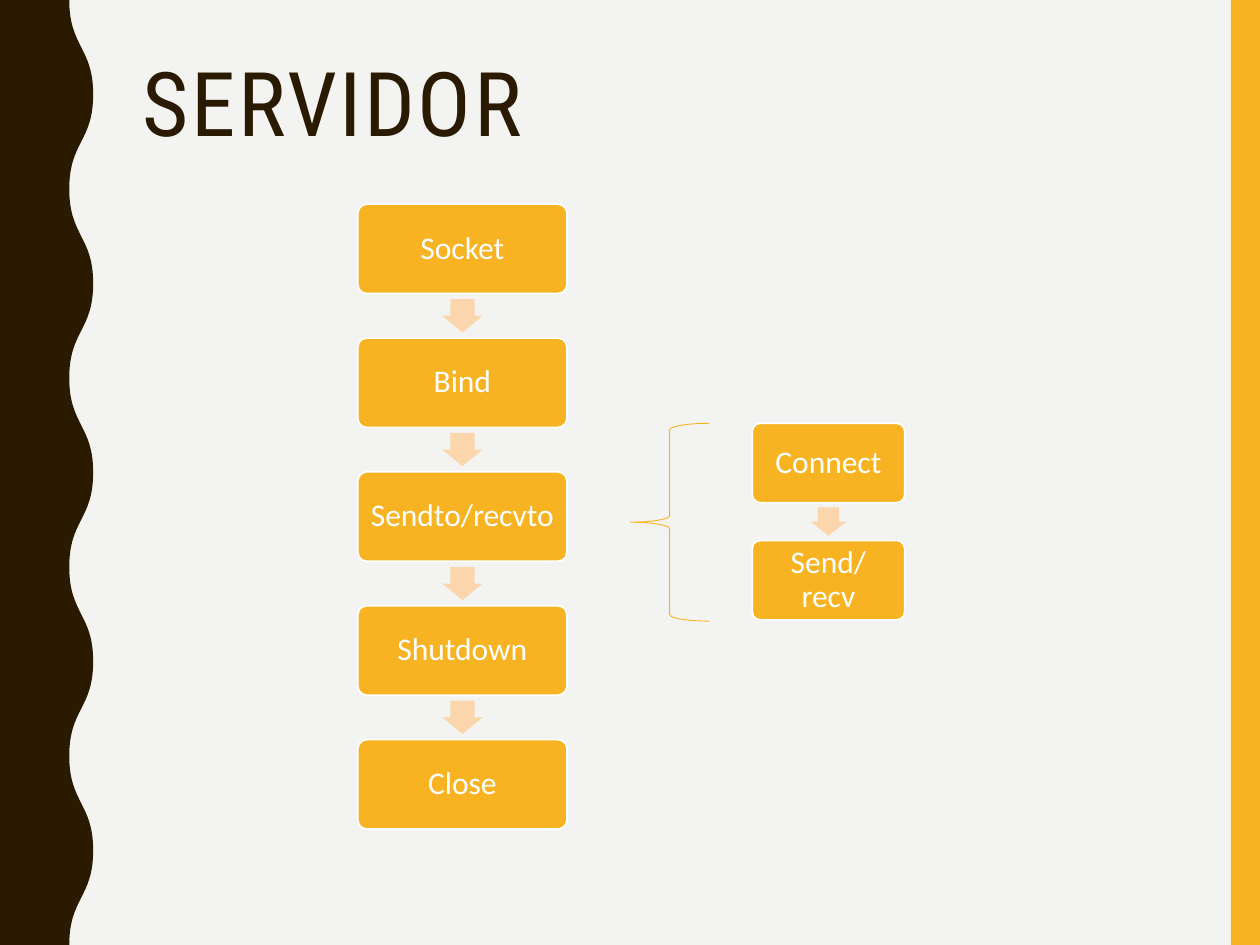
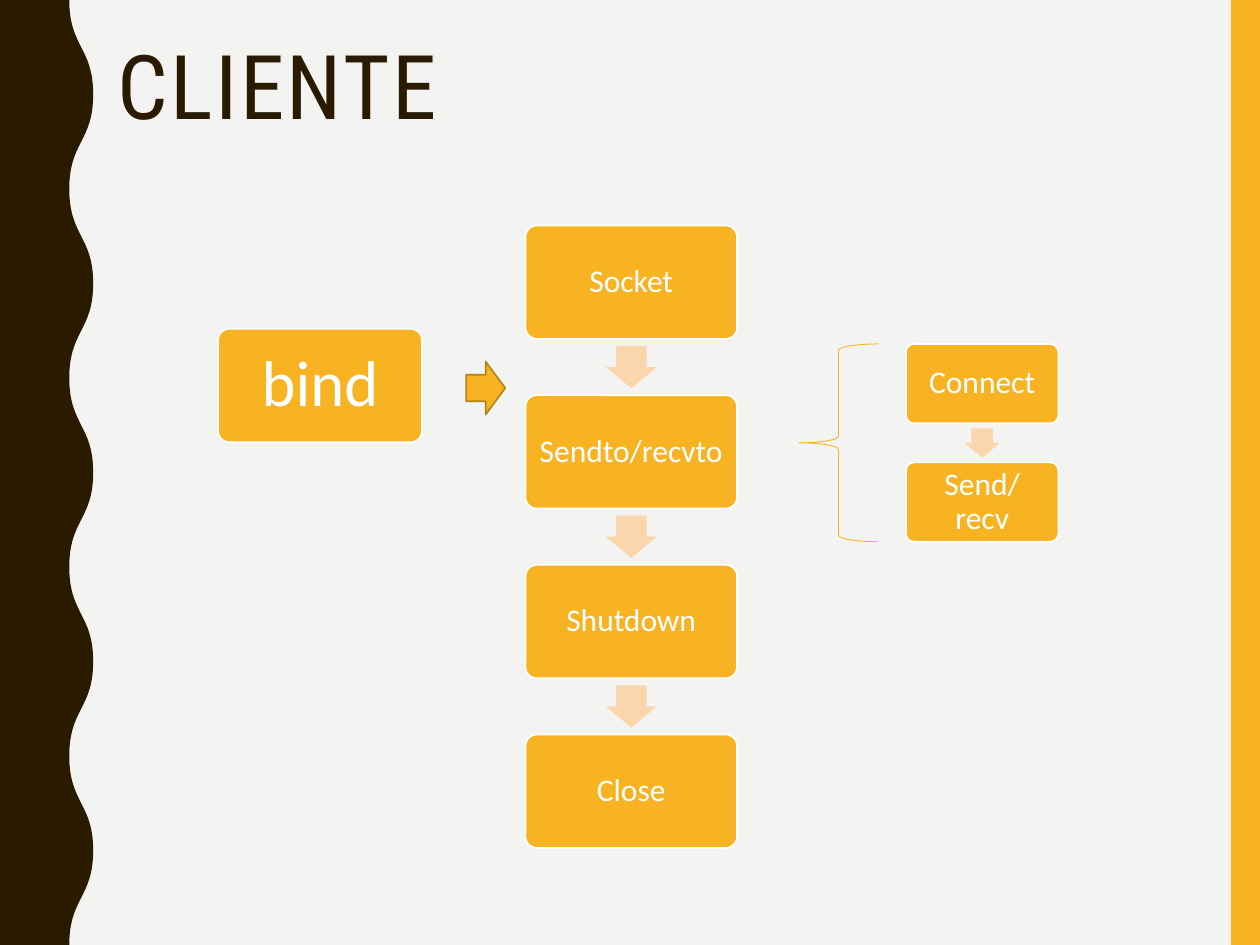
"""Build the server and client socket flow slides."""
from dataclasses import dataclass

from lxml import etree
from pptx import Presentation
from pptx.dml.color import RGBColor
from pptx.enum.shapes import MSO_SHAPE
from pptx.enum.text import MSO_ANCHOR, MSO_AUTO_SIZE, PP_ALIGN
from pptx.oxml.ns import qn
from pptx.util import Inches, Pt

RECTANGLE = MSO_SHAPE.RECTANGLE
ROUNDED = MSO_SHAPE.ROUNDED_RECTANGLE
RIGHT_ARROW = MSO_SHAPE.RIGHT_ARROW
LEFT_BRACE = MSO_SHAPE.LEFT_BRACE
TOP, MIDDLE = MSO_ANCHOR.TOP, MSO_ANCHOR.MIDDLE
LEFT, CENTER = PP_ALIGN.LEFT, PP_ALIGN.CENTER
NO_AUTOFIT = MSO_AUTO_SIZE.NONE

PAPER = RGBColor(0xF3, 0xF3, 0xF2)
BROWN = RGBColor(0x2A, 0x1A, 0x00)
AMBER = RGBColor(0xF8, 0xB3, 0x23)
DARK_AMBER = RGBColor(0xB7, 0x84, 0x1A)
PEACH = RGBColor(0xFB, 0xD6, 0xAC)
WHITE = RGBColor(0xFF, 0xFF, 0xFF)

SLIDE_WIDTH, SLIDE_HEIGHT = 10, 7.5
STRIPE_WIDTH = 0.23
WAVE_INNER, WAVE_OUTER = 0.55, 0.74
WAVE_STEPS = 10
TITLE_FONT = {"name": "Roboto Condensed", "size": Pt(51)}
BODY_FONT = "Calibri"


@dataclass(frozen=True)
class Box:
    """Position and size in inches."""

    left: float
    top: float
    width: float
    height: float

    def lengths(self) -> tuple:
        return tuple(Inches(value) for value in (self.left, self.top, self.width, self.height))


@dataclass(frozen=True)
class Flow:
    """A column of equal steps joined by arrows."""

    first: Box
    last_top: float
    steps: tuple[str, ...]
    size: int = 18
    inset: float = 0.07

    @property
    def pitch(self) -> float:
        return (self.last_top - self.first.top) / max(1, len(self.steps) - 1)


@dataclass(frozen=True)
class FlowSlide:
    """Everything that differs between the slides."""

    title: str
    title_box: Box
    flows: tuple[Flow, ...]
    brace: Box
    side_arrow: Box | None = None


def connected_flow(left: float, top: float, last_top: float) -> Flow:
    return Flow(Box(left, top, 1.21, 0.63), last_top, ("Connect", "Send/recv"), inset=0.08)


SLIDES = (
    FlowSlide(
        "SERVIDOR",
        Box(1.03, 0.42, 8.35, 1.63),
        (
            Flow(Box(2.84, 1.62, 1.66, 0.71), 5.87,
                 ("Socket", "Bind", "Sendto/recvto", "Shutdown", "Close")),
            connected_flow(5.97, 3.36, 4.29),
        ),
        Box(5, 3.36, 0.63, 1.57),
    ),
    FlowSlide(
        "CLIENTE",
        Box(0.83, 0.29, 8.61, 1.25),
        (
            Flow(Box(4.17, 1.79, 1.68, 0.9), 5.83,
                 ("Socket", "Sendto/recvto", "Shutdown", "Close")),
            connected_flow(7.19, 2.73, 3.67),
            Flow(Box(1.73, 2.61, 1.62, 0.9), 2.61, ("bind",), 37, 0.15),
        ),
        Box(6.34, 2.73, 0.63, 1.57),
        Box(3.7, 2.87, 0.31, 0.42),
    ),
)


def apply_format(target, values: dict) -> None:
    for name, value in values.items():
        setattr(target, name, value)


def paint(shape, fill: RGBColor | None, line: RGBColor | None = None, width: float = 1) -> None:
    shape.shadow.inherit = False
    if fill is None:
        shape.fill.background()
    else:
        shape.fill.solid()
        shape.fill.fore_color.rgb = fill
    if line is None:
        shape.line.fill.background()
    else:
        shape.line.color.rgb = line
        shape.line.width = Pt(width)


def bend_segment(segment, start: tuple[int, int]) -> tuple[int, int]:
    """Turn a line segment into an S-curve and return its end point."""
    end_point = segment[0]
    end = int(end_point.get("x")), int(end_point.get("y"))
    middle_y = (start[1] + end[1]) // 2
    segment.tag = qn("a:cubicBezTo")
    for index, x in enumerate((start[0], end[0])):
        control = etree.Element(qn("a:pt"), x=str(x), y=str(middle_y))
        segment.insert(index, control)
    return end


def draw_wave(slide):
    """Draw the left band, whose edge swings between two x positions."""
    edge = [
        (Inches(WAVE_OUTER if step % 2 else WAVE_INNER), Inches(SLIDE_HEIGHT * step / WAVE_STEPS))
        for step in range(WAVE_STEPS + 1)
    ]
    builder = slide.shapes.build_freeform(0, 0)
    builder.add_line_segments([*edge, (0, Inches(SLIDE_HEIGHT))], close=True)
    shape = builder.convert_to_shape()
    segments = list(shape.element.iter(qn("a:lnTo")))
    point = edge[0]
    for segment in segments[1:WAVE_STEPS + 1]:
        point = bend_segment(segment, point)
    paint(shape, BROWN)
    return shape


def decorate_layout(layout, slide) -> None:
    """Draw the shared bands on a slide and move them to its layout."""
    layout.background.fill.solid()
    layout.background.fill.fore_color.rgb = PAPER
    stripe_box = Box(SLIDE_WIDTH - STRIPE_WIDTH, 0, STRIPE_WIDTH, SLIDE_HEIGHT)
    stripe = slide.shapes.add_shape(RECTANGLE, *stripe_box.lengths())
    paint(stripe, AMBER)
    for shape in (stripe, draw_wave(slide)):
        layout.shapes.element.append(shape.element)


def set_title(slide, content: FlowSlide) -> None:
    title = slide.shapes.title
    apply_format(title, dict(zip(("left", "top", "width", "height"), content.title_box.lengths())))
    title.text = content.title
    apply_format(title.text_frame, {"vertical_anchor": TOP, "auto_size": NO_AUTOFIT})
    paragraph = title.text_frame.paragraphs[0]
    apply_format(paragraph, {"alignment": LEFT, "line_spacing": 0.9})
    font = paragraph.runs[0].font
    apply_format(font, TITLE_FONT)
    font.color.rgb = BROWN
    paragraph.runs[0]._r.get_or_add_rPr().set("spc", "150")


def draw_step(slide, box: Box, text: str, flow: Flow) -> None:
    shape = slide.shapes.add_shape(ROUNDED, *box.lengths())
    shape.adjustments[0] = 0.1
    paint(shape, AMBER, WHITE)
    frame = shape.text_frame
    frame.text = text
    apply_format(frame, {"word_wrap": True, "vertical_anchor": MIDDLE})
    for side in ("left", "top", "right", "bottom"):
        setattr(frame, f"margin_{side}", Inches(flow.inset))
    paragraph = frame.paragraphs[0]
    apply_format(paragraph, {"alignment": CENTER, "line_spacing": 0.9})
    font = paragraph.runs[0].font
    apply_format(font, {"name": BODY_FONT, "size": Pt(flow.size)})
    font.color.rgb = WHITE


def draw_down_arrow(slide, box: Box, gap: float) -> None:
    """Draw the arrow centred in the gap below a step."""
    length, span = 0.75 * gap, 0.45 * box.height
    center_x = box.left + box.width / 2
    center_y = box.top + box.height + gap / 2
    arrow_box = Box(center_x - length / 2, center_y - span / 2, length, span)
    arrow = slide.shapes.add_shape(RIGHT_ARROW, *arrow_box.lengths())
    arrow.rotation = 90
    arrow.adjustments[0] = 0.6
    paint(arrow, PEACH)


def draw_flow(slide, flow: Flow) -> None:
    first = flow.first
    for index, text in enumerate(flow.steps):
        box = Box(first.left, first.top + index * flow.pitch, first.width, first.height)
        draw_step(slide, box, text, flow)
        if index < len(flow.steps) - 1:
            draw_down_arrow(slide, box, flow.pitch - first.height)


def build_slide(slide, content: FlowSlide) -> None:
    set_title(slide, content)
    for flow in content.flows:
        draw_flow(slide, flow)
    brace = slide.shapes.add_shape(LEFT_BRACE, *content.brace.lengths())
    paint(brace, None, AMBER, 0.5)
    if content.side_arrow:
        arrow = slide.shapes.add_shape(RIGHT_ARROW, *content.side_arrow.lengths())
        paint(arrow, AMBER, DARK_AMBER)


def main() -> None:
    presentation = Presentation()
    presentation.slide_width = Inches(SLIDE_WIDTH)
    presentation.slide_height = Inches(SLIDE_HEIGHT)
    layout = presentation.slide_layouts.get_by_name("Title Only")
    slides = [presentation.slides.add_slide(layout) for _ in SLIDES]
    decorate_layout(layout, slides[0])
    for slide, content in zip(slides, SLIDES):
        build_slide(slide, content)
    presentation.save("out.pptx")


if __name__ == "__main__":
    main()
